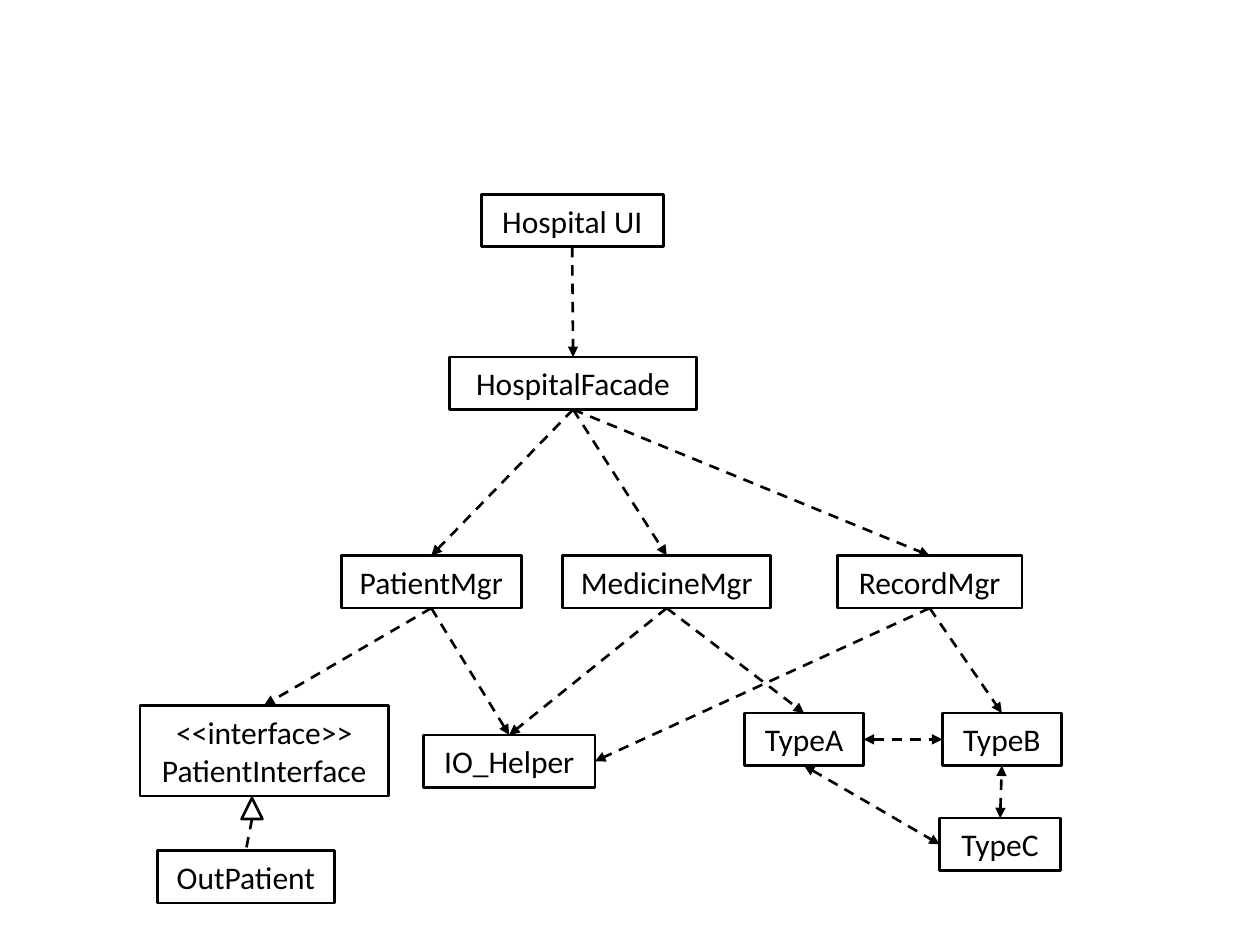
from lxml import etree
from pptx import Presentation
from pptx.dml.color import RGBColor
from pptx.enum.dml import MSO_LINE
from pptx.enum.shapes import MSO_CONNECTOR, MSO_SHAPE
from pptx.enum.text import MSO_ANCHOR, MSO_AUTO_SIZE, PP_ALIGN
from pptx.oxml.ns import qn
from pptx.util import Pt

BLACK = RGBColor(0, 0, 0)
RECTANGLE = MSO_SHAPE.RECTANGLE
TRIANGLE = MSO_SHAPE.ISOSCELES_TRIANGLE
STRAIGHT = MSO_CONNECTOR.STRAIGHT
DASH = MSO_LINE.DASH
MIDDLE = MSO_ANCHOR.MIDDLE
FIT_SHAPE = MSO_AUTO_SIZE.SHAPE_TO_FIT_TEXT
CENTER = PP_ALIGN.CENTER

TOP, LEFT, BOTTOM, RIGHT = range(4)
BOX_HEIGHT = 30
MANAGER_TOP = 317.5
TYPE_TOP = 407.5


class ClassDiagram:
    font_name = "Calibri"
    font_size = 18
    line_width = 1.5

    def __init__(self, slide):
        self.slide = slide

    def outline(self, preset, left, top, width, height):
        """Add an unfilled shape with a black border."""
        shape = self.slide.shapes.add_shape(
            preset, Pt(left), Pt(top), Pt(width), Pt(height))
        shape.shadow.inherit = False
        shape.fill.background()
        shape.line.color.rgb = BLACK
        shape.line.width = Pt(self.line_width)
        return shape

    def box(self, text, left, top, width, height=BOX_HEIGHT):
        shape = self.outline(RECTANGLE, left, top, width, height)
        text_frame = shape.text_frame
        text_frame.text = text
        text_frame.word_wrap = False
        text_frame.auto_size = FIT_SHAPE
        text_frame.vertical_anchor = MIDDLE
        for paragraph in text_frame.paragraphs:
            paragraph.alignment = CENTER
            for run in paragraph.runs:
                run.font.name = self.font_name
                run.font.size = Pt(self.font_size)
                run.font.color.rgb = BLACK
        return shape

    def dashed_line(self, x=0, y=0):
        """Add a dashed connector at a point, ready to be joined."""
        connector = self.slide.shapes.add_connector(
            STRAIGHT, Pt(x), Pt(y), Pt(x), Pt(y))
        connector.line.color.rgb = BLACK
        connector.line.width = Pt(self.line_width)
        connector.line.dash_style = DASH
        etree.SubElement(connector._element.spPr, qn("a:effectLst"))
        return connector

    def dependency(self, source, source_side, target, target_side, both_ways=False):
        connector = self.dashed_line()
        connector.begin_connect(source, source_side)
        connector.end_connect(target, target_side)
        line = connector.line._get_or_add_ln()
        for tag in ("a:headEnd", "a:tailEnd") if both_ways else ("a:tailEnd",):
            etree.SubElement(line, qn(tag), type="triangle")

    def realization(self, child, x, top, width, height):
        """Add a hollow arrowhead with a dashed line down to the child."""
        self.outline(TRIANGLE, x - width / 2, top, width, height)
        self.dashed_line(x, top + height).end_connect(child, TOP)


def main():
    presentation = Presentation()
    presentation.slide_width = Pt(720)
    presentation.slide_height = Pt(540)
    slide = presentation.slides.add_slide(presentation.slide_layouts[6])
    diagram = ClassDiagram(slide)

    hospital_ui = diagram.box("Hospital UI", 275, 111, 104)
    facade = diagram.box("HospitalFacade", 257, 204, 141)
    patient = diagram.box("PatientMgr", 195, MANAGER_TOP, 103)
    medicine = diagram.box("MedicineMgr", 321.5, MANAGER_TOP, 119)
    record = diagram.box("RecordMgr", 478.5, MANAGER_TOP, 105.5)
    io_helper = diagram.box("IO_Helper", 242, 420, 98)
    interface = diagram.box("<<interface>>\nPatientInterface", 80, 403, 142, 52)
    type_a = diagram.box("TypeA", 425.5, TYPE_TOP, 68)
    type_b = diagram.box("TypeB", 538.5, TYPE_TOP, 68)
    type_c = diagram.box("TypeC", 537, 467.5, 69)
    out_patient = diagram.box("OutPatient", 90, 486, 101)

    for source, target in (
        (hospital_ui, facade),
        (facade, patient),
        (facade, medicine),
        (facade, record),
        (patient, interface),
        (patient, io_helper),
        (medicine, io_helper),
        (medicine, type_a),
        (record, type_b),
    ):
        diagram.dependency(source, BOTTOM, target, TOP)
    diagram.dependency(record, BOTTOM, io_helper, RIGHT)

    diagram.dependency(type_a, RIGHT, type_b, LEFT, both_ways=True)
    diagram.dependency(type_a, BOTTOM, type_c, LEFT, both_ways=True)
    diagram.dependency(type_c, TOP, type_b, BOTTOM, both_ways=True)

    diagram.realization(out_patient, 144, 456, 12, 12)

    presentation.save("out.pptx")


if __name__ == "__main__":
    main()
